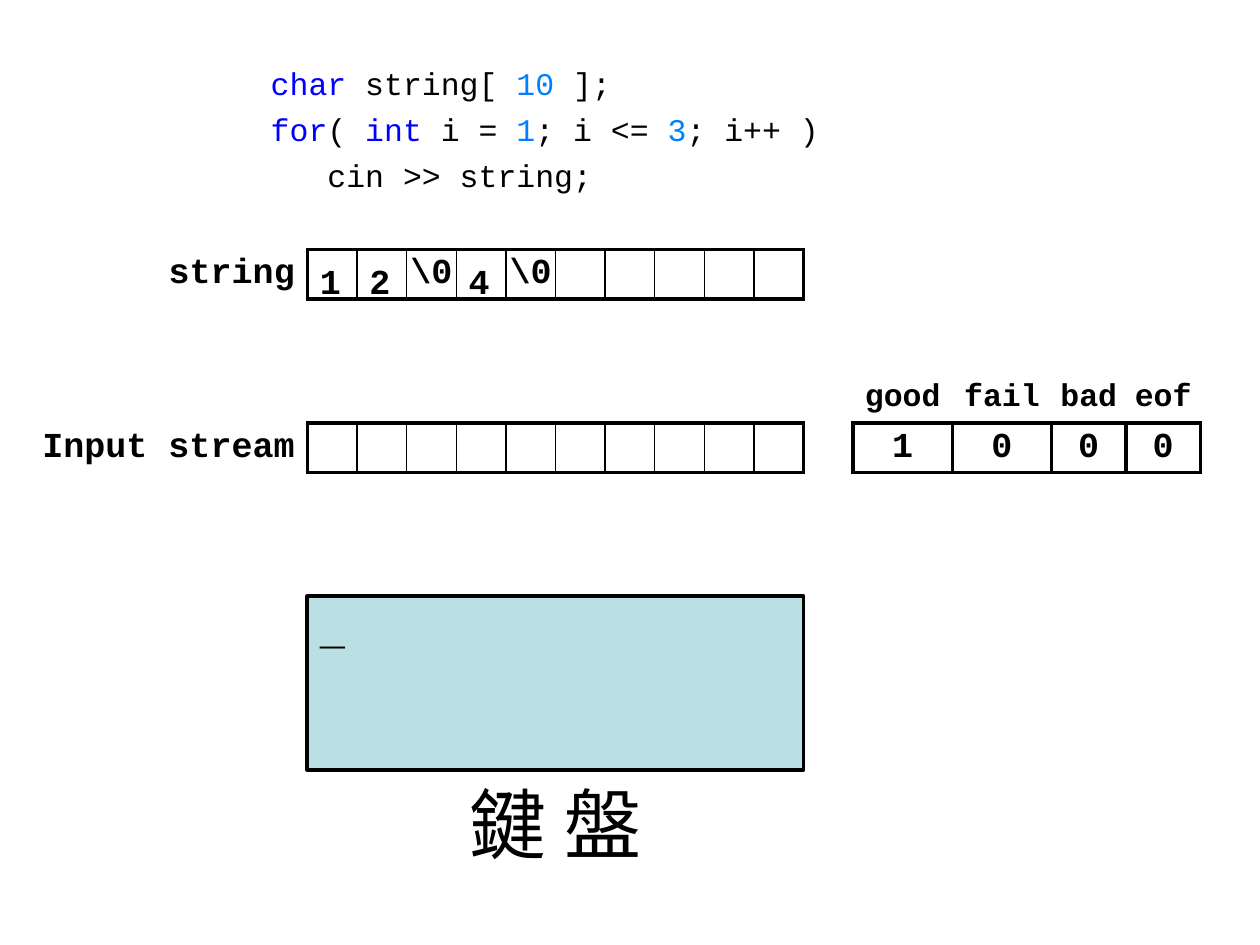
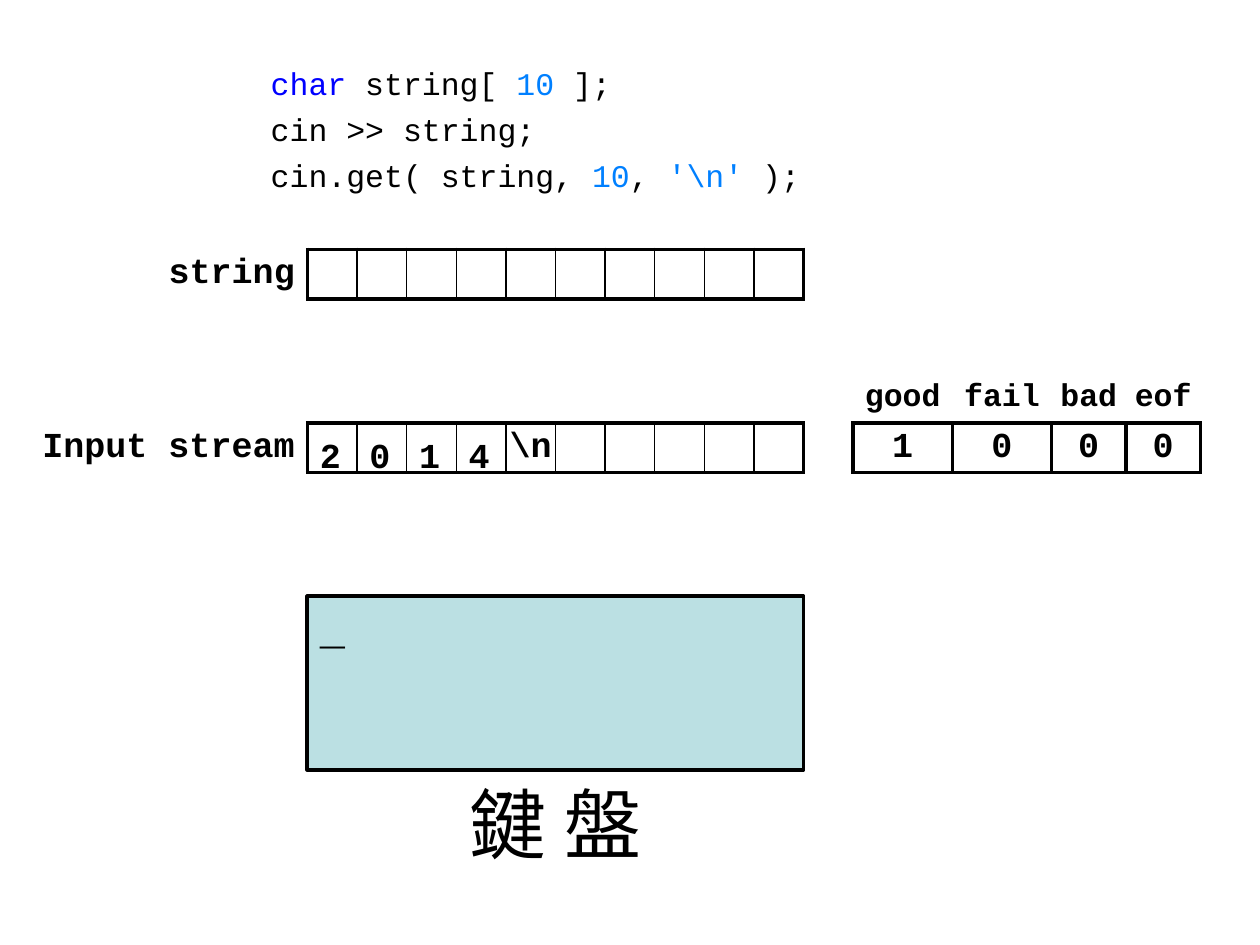
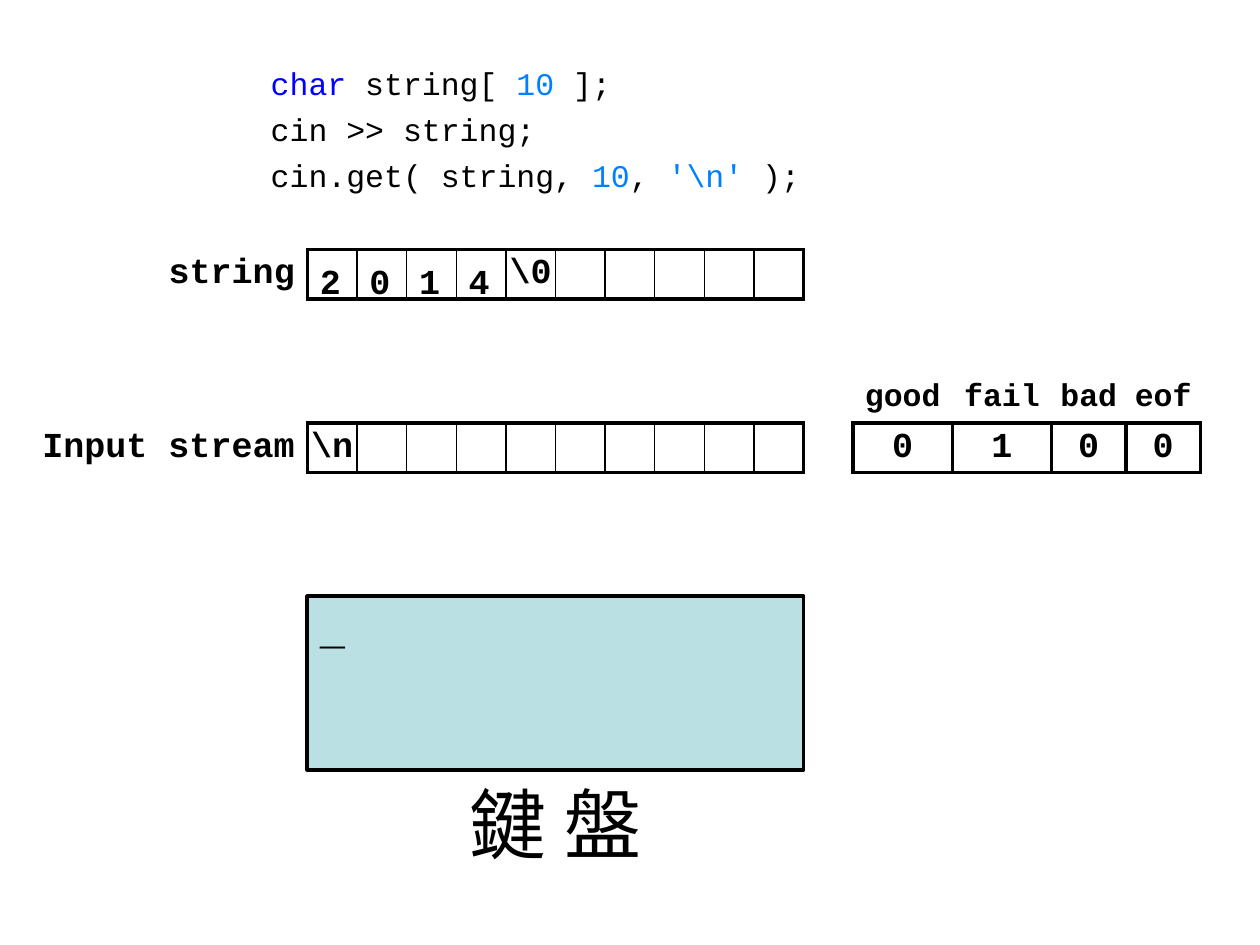
from lxml import etree
from pptx import Presentation
from pptx import util as u
from pptx.dml import color
from pptx.enum import shapes, text
from pptx.oxml import ns

Pt = u.Pt
COLOURS = {"ink": "000000", "keyword": "0000FF", "literal": "0080FF", "screen": "BBE0E3"}
MONO, CJK = "Courier New", "Noto Sans CJK SC"
CODE = {"name": MONO, "size": Pt(18)}
HEAD = {"name": MONO, "size": Pt(18), "bold": True}
VALUE = {"name": MONO, "size": Pt(20), "bold": True}
PROMPT = {"name": MONO, "size": Pt(24), "bold": True}
CAPTION = {"name": CJK, "size": Pt(44)}
NO_GRID = "{2D5ABB26-0587-4C30-8999-92F81FD0307C}"
LEFT, CENTER, RIGHT = text.PP_ALIGN.LEFT, text.PP_ALIGN.CENTER, text.PP_ALIGN.RIGHT
UNIT, CELLS, THICK, THIN = 28.35, 10, 2.25, 1
CELLS_LEFT = 175.7
FLAGS = {"good": 2 * UNIT, "fail": 2 * UNIT, "bad": 1.5 * UNIT, "eof": 1.5 * UNIT}

DECLARE = [("keyword", "char"), ("ink", " string[ "), ("literal", "10"), ("ink", " ];")]
LOOP_CODE = [
    DECLARE,
    [("keyword", "for"), ("ink", "( "), ("keyword", "int"), ("ink", " i = "), ("literal", "1"),
     ("ink", "; i <= "), ("literal", "3"), ("ink", "; i++ )")],
    [("ink", "   cin >> string;")],
]
GET_CODE = [
    DECLARE,
    [("ink", "cin >> string;")],
    [("ink", "cin.get( string, "), ("literal", "10"), ("ink", ", "), ("literal", r"'\n'"),
     ("ink", " );")],
]
STEPS = [
    {"code": LOOP_CODE, "string": ["1", "2", r"\0", "4", r"\0"], "stream": [], "flags": "1000"},
    {"code": GET_CODE, "string": [], "stream": ["2", "0", "1", "4", r"\n"], "flags": "1000"},
    {"code": GET_CODE, "string": ["2", "0", "1", "4", r"\0"], "stream": [r"\n"], "flags": "0100"},
]


def apply(target, values):
    for name, value in values.items():
        setattr(target, name, value)


def rgb(name):
    return color.RGBColor.from_string(COLOURS[name])


def write(para, spans, style, align=LEFT):
    para.alignment = align
    for ink, words in spans:
        span = para.add_run()
        span.text = words
        apply(span.font, style)
        span.font.color.rgb = rgb(ink)
        if style["name"] == CJK:
            east = etree.SubElement(span.font._element, ns.qn("a:ea"))
            east.set("typeface", CJK)


def add_box(page, left, top, width, height, **frame):
    box = page.shapes.add_textbox(Pt(left), Pt(top), Pt(width), Pt(height))
    apply(box.text_frame, frame)
    return box.text_frame


def add_code(page, lines, left, top, width, height):
    frame = add_box(page, left, top, width, height, word_wrap=True,
                    margin_top=Pt(7.5), margin_right=Pt(2.9))
    for index, spans in enumerate(lines):
        para = frame.add_paragraph() if index else frame.paragraphs[0]
        if index:
            para.space_before = Pt(4.7)
        write(para, spans, CODE)


def add_grid(page, left, top, widths, rows):
    frame = page.shapes.add_table(rows, len(widths), Pt(left), Pt(top),
                                  Pt(sum(widths)), Pt(rows * UNIT))
    grid = frame.table
    apply(grid, {"first_row": False, "horz_banding": False})
    grid._tbl.tblPr.find(ns.qn("a:tableStyleId")).text = NO_GRID
    for column, width in zip(grid.columns, widths):
        column.width = Pt(width)
    for row in grid.rows:
        row.height = Pt(UNIT)
    for cell in grid.iter_cells():
        apply(cell, {"margin_left": 0, "margin_right": 0, "margin_top": 0, "margin_bottom": 0,
                     "vertical_anchor": text.MSO_ANCHOR.MIDDLE})
        cell.fill.background()
    return grid


def frame_cell(cell, left=THICK, right=THICK):
    holder = cell._tc.get_or_add_tcPr()
    sides = {"L": left, "R": right, "T": THICK, "B": THICK}
    for index, (side, width) in enumerate(sides.items()):
        line = etree.Element(ns.qn(f"a:ln{side}"), w=str(int(Pt(width))))
        fill = etree.SubElement(line, ns.qn("a:solidFill"))
        etree.SubElement(fill, ns.qn("a:srgbClr"), val=COLOURS["ink"])
        holder.insert(index, line)


def fill_cell(cell, words, style=VALUE, align=CENTER):
    write(cell.text_frame.paragraphs[0], [("ink", words)], style, align)


def fill_array(grid, row, label, values):
    head = grid.cell(row, 0)
    head.margin_right = Pt(7.2)
    fill_cell(head, label, align=RIGHT)
    for index in range(CELLS):
        cell = grid.cell(row, index + 1)
        frame_cell(cell, THIN if index else THICK, THIN if index < CELLS - 1 else THICK)
        if index < len(values) and len(values[index]) > 1:
            fill_cell(cell, values[index])


def add_digits(page, values, left, top):
    for index, value in enumerate(values):
        if len(value) == 1:
            frame = add_box(page, left + index * UNIT, top, UNIT, UNIT, word_wrap=True,
                            margin_top=Pt(6), margin_bottom=0)
            write(frame.paragraphs[0], [("ink", value)], VALUE)


def add_string(page, values, top):
    label_width = 3 * UNIT
    grid = add_grid(page, CELLS_LEFT - label_width, top, [label_width] + [UNIT] * CELLS, 1)
    fill_array(grid, 0, "string", values)
    add_digits(page, values, CELLS_LEFT, top)


def add_stream(page, values, flags, top):
    label_width = 5.5 * UNIT
    widths = [label_width] + [UNIT] * (CELLS + 1) + list(FLAGS.values())
    grid = add_grid(page, CELLS_LEFT - label_width, top, widths, 2)
    fill_array(grid, 1, "Input stream", values)
    for column, (name, flag) in enumerate(zip(FLAGS, flags), CELLS + 2):
        fill_cell(grid.cell(0, column), name, HEAD)
        fill_cell(grid.cell(1, column), flag)
        frame_cell(grid.cell(1, column))
    add_digits(page, values, CELLS_LEFT, top + UNIT)


def add_keyboard(page, left, top, width, height):
    screen = page.shapes.add_shape(shapes.MSO_SHAPE.RECTANGLE,
                                   Pt(left), Pt(top), Pt(width), Pt(height))
    screen.shadow.inherit = False
    screen.fill.solid()
    screen.fill.fore_color.rgb = rgb("screen")
    screen.line.color.rgb = rgb("ink")
    screen.line.width = Pt(THICK)
    apply(screen.text_frame, {"word_wrap": False, "vertical_anchor": text.MSO_ANCHOR.TOP})
    write(screen.text_frame.paragraphs[0], [("ink", "_")], PROMPT)
    caption_width = 5 * UNIT
    caption = add_box(page, left + (width - caption_width) / 2, top + height,
                      caption_width, 2.5 * UNIT, word_wrap=False)
    write(caption.paragraphs[0], [("ink", "鍵 盤")], CAPTION, CENTER)


def add_step(deck, step):
    page = deck.slides.add_slide(deck.slide_layouts[6])
    add_code(page, step["code"], 147.6, 28.8, 326, 85)
    add_stream(page, step["stream"], step["flags"], 213.3)
    add_string(page, step["string"], 142.5)
    add_keyboard(page, CELLS_LEFT, 340.8, CELLS * UNIT, 3.5 * UNIT)


def main():
    deck = Presentation()
    apply(deck, {"slide_width": Pt(720), "slide_height": Pt(540)})
    for step in STEPS:
        add_step(deck, step)
    deck.save("out.pptx")


if __name__ == "__main__":
    main()
